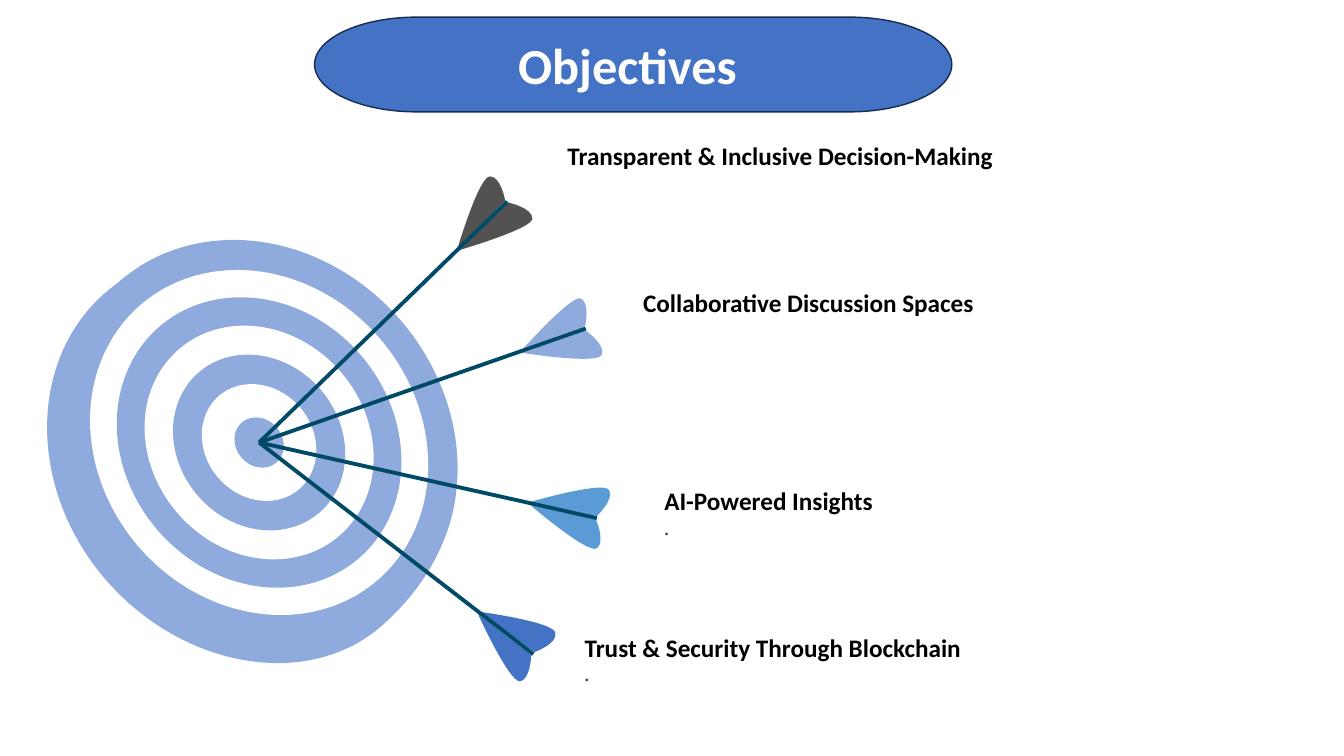
from dataclasses import dataclass

from lxml import etree
from pptx import Presentation
from pptx.dml.color import RGBColor
from pptx.enum.shapes import MSO_CONNECTOR, MSO_SHAPE
from pptx.enum.text import MSO_ANCHOR, MSO_AUTO_SIZE, PP_ALIGN
from pptx.oxml.ns import qn
from pptx.shapes.autoshape import Shape
from pptx.shapes.shapetree import GroupShapes
from pptx.text.text import _Paragraph as Paragraph
from pptx.util import Inches, Pt

OVAL = MSO_SHAPE.OVAL
TERMINATOR = MSO_SHAPE.FLOWCHART_TERMINATOR
STRAIGHT = MSO_CONNECTOR.STRAIGHT
MIDDLE = MSO_ANCHOR.MIDDLE
CENTER = PP_ALIGN.CENTER
GROW = MSO_AUTO_SIZE.SHAPE_TO_FIT_TEXT

COLORS = {
    "ring": "8FAADC", "white": "FFFFFF", "black": "000000", "shaft": "004A67",
    "gray": "525252", "sky": "5B9BD5", "blue": "4472C4", "navy": "172C51",
    "detail": "404040",
}

Point = tuple[float, float]
Curve = tuple[Point, Point, Point, Point]

BOUNDS_STEPS = 40
TARGET_CENTER: Point = (2.57, 4.39)
RING_WIDTHS = (3.71, 3.16, 2.66, 2.14, 1.61, 1.07, 0.46)
RING_RATIO = 1.14
RING_ROTATION = 319.5
TARGET_EDGE: list[Curve] = [
    ((3.86, 3.33), (4.63, 4.23), (4.79, 5.27), (3.84, 6.16)),
    ((3.84, 6.16), (3.10, 6.87), (1.81, 6.64), (1.04, 5.74)),
    ((1.04, 5.74), (0.27, 4.84), (0.28, 3.56), (1.05, 2.90)),
    ((1.05, 2.90), (1.83, 2.23), (3.09, 2.42), (3.86, 3.33)),
]


@dataclass(frozen=True)
class Feather:
    """Half of a dart's flight: it swells from the tip to a crest, then returns to the notch."""
    tip: Point
    rise: Point
    crest: Point
    fall: Point
    notch: Point

    def curves(self) -> list[Curve]:
        return [(self.tip, self.tip, self.rise, self.crest),
                (self.crest, self.fall, self.notch, self.notch)]


@dataclass(frozen=True)
class Dart:
    color: str
    tail: Point
    feathers: tuple[Feather, Feather]


@dataclass(frozen=True)
class Objective:
    title: str
    left: float
    top: float
    width: float
    height: float = 0.4
    detail: str = ""
    space_after: int = 0


DARTS = [
    Dart("gray", (5.03, 2.0), (
        Feather((4.54, 2.46), (4.75, 1.75), (4.86, 1.75), (4.97, 1.75), (5.01, 1.99)),
        Feather((4.56, 2.48), (5.28, 2.27), (5.28, 2.17), (5.28, 2.06), (5.04, 2.01)))),
    Dart("ring", (5.81, 3.26), (
        Feather((5.17, 3.48), (5.67, 2.92), (5.76, 2.96), (5.86, 3.01), (5.80, 3.25)),
        Feather((5.18, 3.50), (5.92, 3.62), (5.97, 3.52), (6.01, 3.42), (5.81, 3.28)))),
    Dart("sky", (5.92, 5.14), (
        Feather((5.26, 4.98), (5.98, 4.77), (6.04, 4.86), (6.10, 4.95), (5.92, 5.12)),
        Feather((5.26, 5.01), (5.83, 5.50), (5.92, 5.44), (6.01, 5.38), (5.91, 5.15)))),
    Dart("blue", (5.29, 6.49), (
        Feather((4.76, 6.07), (5.50, 6.17), (5.51, 6.28), (5.53, 6.39), (5.30, 6.47)),
        Feather((4.74, 6.09), (5.05, 6.77), (5.16, 6.76), (5.26, 6.74), (5.27, 6.50)))),
]

OBJECTIVES = [
    Objective("Transparent & Inclusive Decision-Making", 5.53, 1.34, 6.93),
    Objective("Collaborative Discussion Spaces", 6.28, 2.8, 6.54),
    Objective("AI-Powered Insights", 6.49, 4.77, 6.54, 0.64, "."),
    Objective("Trust & Security Through Blockchain", 5.7, 6.22, 7.21, 0.64, ".", 6),
]


def rgb(name: str) -> RGBColor:
    return RGBColor.from_string(COLORS[name])


def paint(shape: Shape, color: str) -> None:
    """Give a shape a plain fill, with no line or shadow."""
    shape.shadow.inherit = False
    shape.fill.solid()
    shape.fill.fore_color.rgb = rgb(color)
    shape.line.fill.background()


def add_run(paragraph: Paragraph, text: str, size: int, color: str,
            font_name: str = "Calibri", bold: bool = True) -> None:
    run = paragraph.add_run()
    run.text = text
    run.font.name = font_name
    run.font.size = Pt(size)
    run.font.bold = bold
    run.font.color.rgb = rgb(color)


def axis_range(curves: list[Curve], axis: int) -> tuple[Inches, Inches]:
    """Least and greatest coordinate that the Bezier curves reach along one axis."""
    values = []
    for curve in curves:
        a, b, c, d = (point[axis] for point in curve)
        for step in range(BOUNDS_STEPS + 1):
            t = step / BOUNDS_STEPS
            s = 1 - t
            values.append(a * s ** 3 + 3 * b * t * s ** 2 + 3 * c * s * t ** 2 + d * t ** 3)
    return Inches(min(values)), Inches(max(values))


def add_outline(shapes: GroupShapes, curves: list[Curve], color: str) -> None:
    """Build a freeform over the bounds of the curves, then trace them with Bezier segments."""
    left, right = axis_range(curves, 0)
    top, bottom = axis_range(curves, 1)
    builder = shapes.build_freeform(left, top)
    builder.add_line_segments([(right, bottom)])
    shape = builder.convert_to_shape()

    trace = shape._element.spPr.find(".//" + qn("a:path"))
    for segment in list(trace):
        trace.remove(segment)
    segments = [("a:moveTo", curves[0][:1])]
    segments += [("a:cubicBezTo", curve[1:]) for curve in curves]
    segments.append(("a:close", ()))
    for tag, points in segments:
        segment = etree.SubElement(trace, qn(tag))
        for x, y in points:
            etree.SubElement(segment, qn("a:pt"), x=str(Inches(x) - left), y=str(Inches(y) - top))
    paint(shape, color)


def add_target(shapes: GroupShapes) -> None:
    add_outline(shapes, TARGET_EDGE, "ring")
    center_x, center_y = TARGET_CENTER
    for index, width in enumerate(RING_WIDTHS):
        height = width * RING_RATIO
        ring = shapes.add_shape(OVAL, Inches(center_x - width / 2), Inches(center_y - height / 2),
                                Inches(width), Inches(height))
        ring.rotation = RING_ROTATION
        paint(ring, "white" if index % 2 else "ring")


def add_dart(shapes: GroupShapes, dart: Dart) -> None:
    for feather in dart.feathers:
        add_outline(shapes, feather.curves(), dart.color)
    ends = [Inches(value) for value in dart.tail + TARGET_CENTER]
    shaft = shapes.add_connector(STRAIGHT, *ends)
    shaft.line.color.rgb = rgb("shaft")
    shaft.line.width = Pt(2.75)
    etree.SubElement(shaft._element.spPr, qn("a:effectLst"))


def add_objective(shapes: GroupShapes, objective: Objective) -> None:
    box = shapes.add_textbox(*(Inches(value) for value in (
        objective.left, objective.top, objective.width, objective.height)))
    frame = box.text_frame
    frame.word_wrap = True
    frame.auto_size = GROW
    add_run(frame.paragraphs[0], objective.title, 18, "black")
    if objective.detail:
        paragraph = frame.add_paragraph()
        paragraph.space_after = Pt(objective.space_after)
        add_run(paragraph, objective.detail, 14, "detail", "Vollkorn", bold=False)


def main() -> None:
    presentation = Presentation()
    presentation.slide_width, presentation.slide_height = Inches(13.33), Inches(7.5)
    slide = presentation.slides.add_slide(presentation.slide_layouts[6])
    diagram = slide.shapes.add_group_shape().shapes
    add_target(diagram)
    for dart in DARTS:
        add_dart(diagram, dart)
    for objective in OBJECTIVES:
        add_objective(diagram, objective)
    banner = slide.shapes.add_shape(TERMINATOR, Inches(3.12), Inches(0.17),
                                    Inches(6.32), Inches(0.94))
    paint(banner, "blue")
    banner.line.color.rgb = rgb("navy")
    banner.line.width = Pt(1)
    banner.text_frame.vertical_anchor = MIDDLE
    heading = banner.text_frame.paragraphs[0]
    heading.alignment = CENTER
    add_run(heading, "Objectives ", 36, "white")
    presentation.save("out.pptx")


if __name__ == "__main__":
    main()
